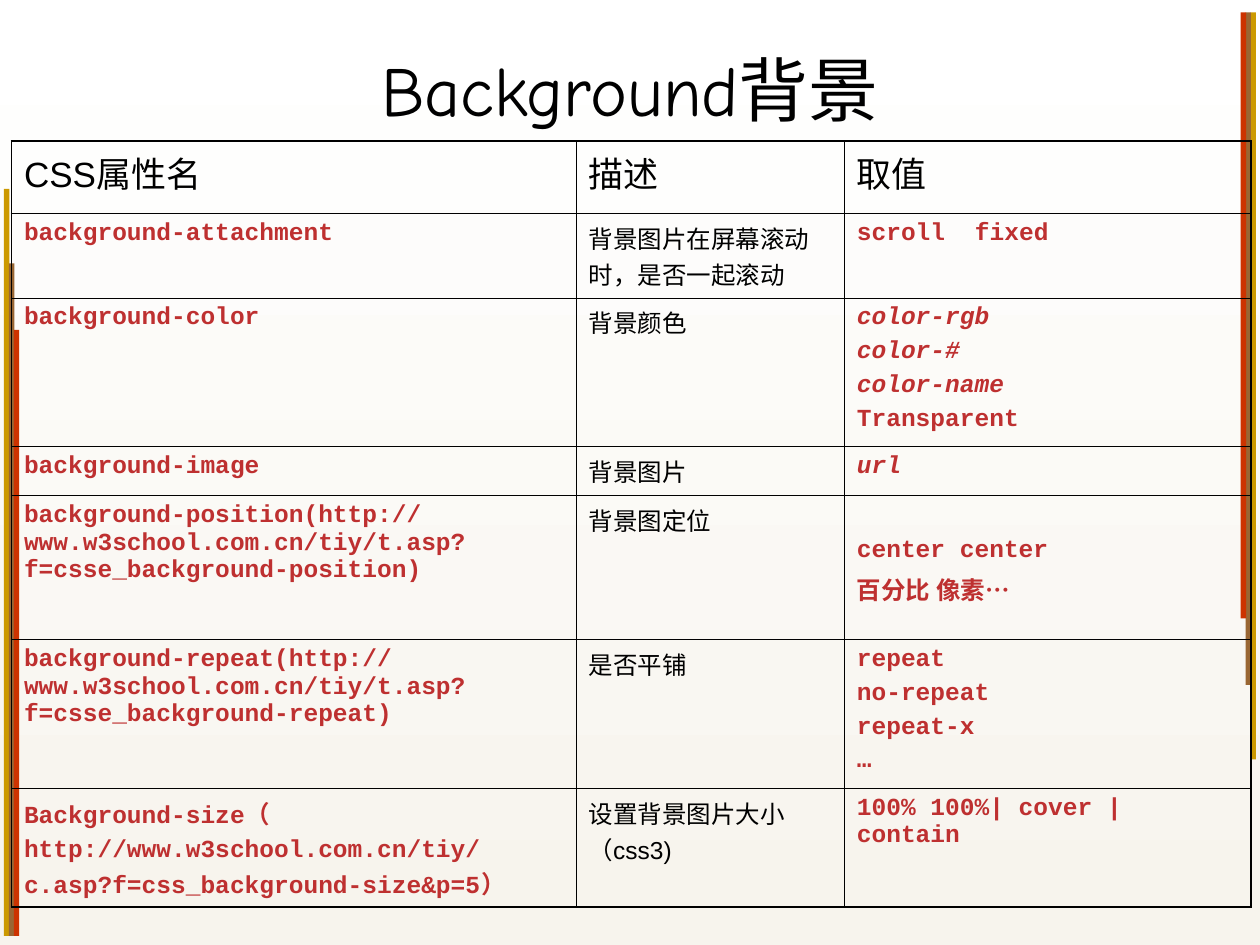
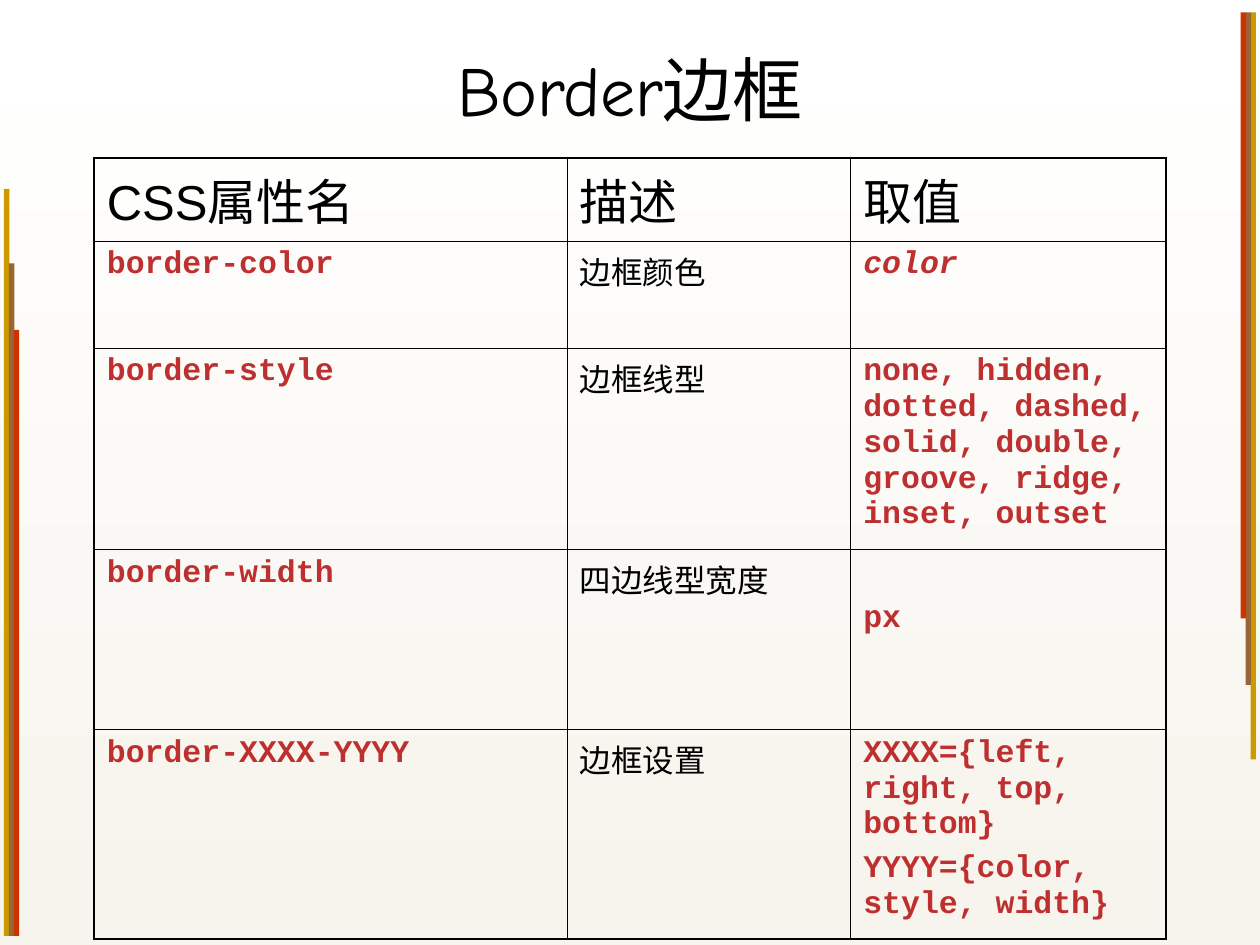
from lxml import etree
from pptx import Presentation
from pptx.dml.color import RGBColor
from pptx.enum.shapes import MSO_SHAPE
from pptx.enum.text import MSO_ANCHOR, PP_ALIGN
from pptx.oxml.ns import qn
from pptx.util import Cm, Pt

RECTANGLE = MSO_SHAPE.RECTANGLE
MIDDLE = MSO_ANCHOR.MIDDLE
CENTER = PP_ALIGN.CENTER

# Content: each row is property, description, values (one string per paragraph)
HEADER = (["CSS属性名"], ["描述"], ["取值"])
SLIDES = [
    {
        "title": "Background背景",
        "left": 0.23, "top": 2.84, "header_size": 20, "body_size": 14,
        "columns": [11.38, 5.41, 8.2],
        "heights": [1.47, 1.6, 3, 0.99, 2.9, 3, 2.26],
        "rows": [
            (["background-attachment"], ["背景图片在屏幕滚动时，是否一起滚动"], ["scroll\tfixed"]),
            (["background-color"], ["背景颜色"],
             ["color-rgb", "color-#", "color-name", "Transparent"]),
            (["background-image"], ["背景图片"], ["url"]),
            (["background-position(http://www.w3school.com.cn/tiy/t.asp?f=csse_background-position)"],
             ["背景图定位"], ["center center", "百分比 像素…"]),
            (["background-repeat(http://www.w3school.com.cn/tiy/t.asp?f=csse_background-repeat)"],
             ["是否平铺"], ["repeat", "no-repeat", "repeat-x", "…"]),
            (["Background-size（",
              "http://www.w3school.com.cn/tiy/c.asp?f=css_background-size&p=5）"],
             ["设置背景图片大小（css3)"], ["100% 100%| cover | contain"]),
        ],
    },
    {
        "title": "Border边框",
        "left": 1.9, "top": 3.18, "header_size": 28, "body_size": 18,
        "columns": [9.53, 5.72, 6.35],
        "heights": [1.45, 2.16, 4.06, 3.63, 4.22],
        "rows": [
            (["border-color"], ["边框颜色"], ["color"]),
            (["border-style"], ["边框线型"],
             ["none, hidden, dotted, dashed, solid, double, groove, ridge, inset, outset"]),
            (["border-width"], ["四边线型宽度"], ["px"]),
            (["border-XXXX-YYYY"], ["边框设置"],
             ["XXXX={left, right, top, bottom}", "YYYY={color, style, width}"]),
        ],
    },
]
ITALIC_VALUES = {"color-rgb", "color-#", "color-name", "url", "color"}
LOWERED_VALUES = {"center center", "px"}  # these cells start one line down

# Shared look
COLORS = {
    "text": "000000", "code": "BE3030", "page_top": "FFFFFF", "page_bottom": "F7F4ED",
    "gold": "CC9900", "brown": "996633", "red": "CC3300",
}
TITLE_FONT, TEXT_FONT, CODE_FONT = "Comic Neue", "Arial", "Courier New"
BARS = [("gold", 15.06), ("brown", 13.56), ("red", 12.22)]
BAR_WIDTH, BAR_STEP, BAR_MARGIN = 0.11, 0.1, 0.08
BAR_TOP, BAR_BOTTOM = 0.25, 18.87
PAGE_WIDTH, PAGE_HEIGHT = 25.4, 19.05
OUTER_LINE, INNER_LINE = 1.08, 0.45
TAB_STOP = 2.38


def rgb(name):
    return RGBColor.from_string(COLORS[name])


def write(paragraph, text, *, size, font=TEXT_FONT, color="text", bold=False,
          italic=False, before=0, align=None):
    if "\t" in text:
        tabs = etree.SubElement(paragraph._p.get_or_add_pPr(), qn("a:tabLst"))
        etree.SubElement(tabs, qn("a:tab"), pos=str(Cm(TAB_STOP)), algn="l")
    paragraph.space_before = Pt(before)
    paragraph.alignment = align
    run = paragraph.add_run()
    run.text = text
    run.font.size, run.font.name = Pt(size), font
    run.font.bold, run.font.italic = bold, italic
    run.font.color.rgb = rgb(color)


def set_borders(cell, outer_sides):
    properties = cell._tc.get_or_add_tcPr()
    for side in "LRTB":
        width = OUTER_LINE if side in outer_sides else INNER_LINE
        line = etree.SubElement(properties, qn("a:ln" + side), w=str(Pt(width)))
        fill = etree.SubElement(line, qn("a:solidFill"))
        etree.SubElement(fill, qn("a:srgbClr"), val=COLORS["text"])


def paint_background(master):
    fill = master.background.fill
    fill.gradient()
    fill.gradient_angle = 270
    for stop, color, position in zip(fill.gradient_stops, ("page_top", "page_bottom"), (0, 1)):
        stop.color.rgb = rgb(color)
        stop.position = position


def add_bars(slide):
    for index, (color, height) in enumerate(BARS):
        inset = BAR_MARGIN + index * BAR_STEP
        right = PAGE_WIDTH - inset - BAR_WIDTH
        for left, top in ((inset, BAR_BOTTOM - height), (right, BAR_TOP)):
            bar = slide.shapes.add_shape(RECTANGLE, Cm(left), Cm(top), Cm(BAR_WIDTH), Cm(height))
            bar.shadow.inherit = False
            bar.fill.solid()
            bar.fill.fore_color.rgb = rgb(color)
            bar.line.fill.background()


def add_title(slide, text):
    title = slide.shapes.title
    title.left, title.top, title.width, title.height = Cm(1.9), Cm(0.2), Cm(21.6), Cm(3.18)
    title.text_frame.vertical_anchor = MIDDLE
    write(title.text_frame.paragraphs[0], text, size=40, font=TITLE_FONT, align=CENTER)


def fill_cell(cell, texts, size, is_code):
    style = {"font": CODE_FONT, "color": "code", "bold": True} if is_code else {}
    if texts[0] in LOWERED_VALUES:
        cell.margin_top = Cm(0.13 + size * 0.05)
    for index, text in enumerate(texts):
        frame = cell.text_frame
        paragraph = frame.add_paragraph() if index else frame.paragraphs[0]
        write(paragraph, text, size=size, before=size / 4 if index else 0,
              italic=text in ITALIC_VALUES, **style)


def add_property_table(slide, content):
    rows = [HEADER] + content["rows"]
    columns, heights = content["columns"], content["heights"]
    table = slide.shapes.add_table(
        len(rows), len(columns), Cm(content["left"]), Cm(content["top"]),
        Cm(sum(columns)), Cm(sum(heights))).table
    table.first_row = table.horz_banding = False
    for column, width in zip(table.columns, columns):
        column.width = Cm(width)
    for row, height in zip(table.rows, heights):
        row.height = Cm(height)
    last_row, last_column = len(rows) - 1, len(columns) - 1
    for r, row in enumerate(rows):
        for c, texts in enumerate(row):
            cell = table.cell(r, c)
            edges = {"T": r == 0, "B": r == last_row, "L": c == 0, "R": c == last_column}
            set_borders(cell, [side for side, is_outer in edges.items() if is_outer])
            cell.fill.background()
            size = content["body_size"] if r else content["header_size"]
            fill_cell(cell, texts, size, is_code=r > 0 and c != 1)


def main():
    presentation = Presentation()
    presentation.slide_width, presentation.slide_height = Cm(PAGE_WIDTH), Cm(PAGE_HEIGHT)
    paint_background(presentation.slide_master)
    title_only = presentation.slide_layouts[5]
    for content in SLIDES:
        slide = presentation.slides.add_slide(title_only)
        add_bars(slide)
        add_title(slide, content["title"])
        add_property_table(slide, content)
    presentation.save("out.pptx")


if __name__ == "__main__":
    main()
